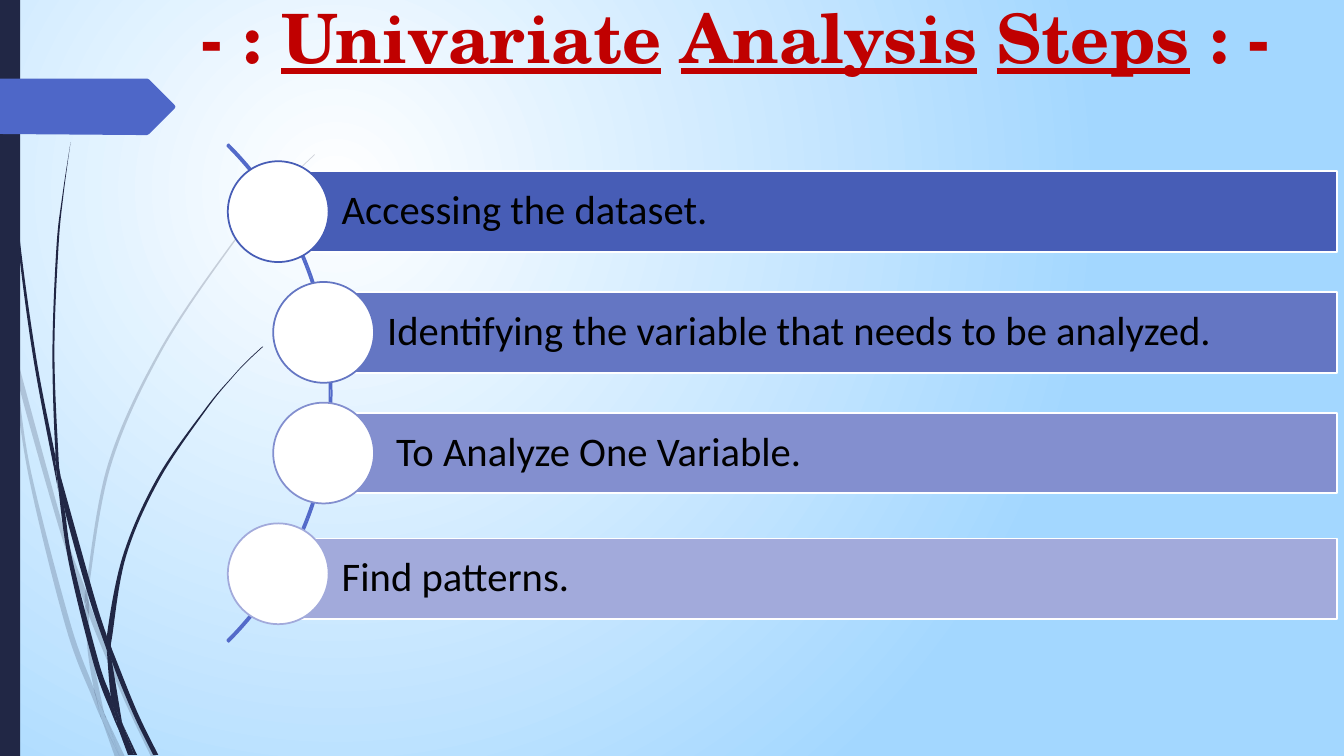
import math
import pptx
import pptx.util
import pptx.dml.color
import pptx.enum.shapes
import pptx.enum.text
import pptx.oxml
import pptx.oxml.ns

Inches, Pt = pptx.util.Inches, pptx.util.Pt
RGB = pptx.dml.color.RGBColor
Shape = pptx.enum.shapes.MSO_SHAPE
SPACE = pptx.oxml.ns.nsdecls("a")

WHITE = RGB(0xFF, 0xFF, 0xFF)
BLACK = RGB(0, 0, 0)
SKY = RGB(0xA3, 0xD7, 0xFF)
NAVY = RGB(0x21, 0x27, 0x45)
BLUE = RGB(0x4E, 0x67, 0xC8)
ARC = RGB(0x53, 0x6A, 0xC9)
RED = RGB(0xC0, 0, 0)

# Outline points of the grass blades, x and y in hundredths of an inch
PALE = [
    "11 350 9 322 0 282 0 299 10 344",
    "58 522 84 599 85 586 62 520 14 345 17 376",
    "92 607 88 596 88 610 123 694 150 751 155 751 127 692",
    "119 751 124 751 105 711",
    "93 683 70 619 31 469 17 376 11 350 28 470 65 621 92 693 101 714 99 707",
    "84 599 87 646 93 683 96 692 105 711 103 706 91 646 88 610 88 608",
    "88 584 110 462 160 349 229 245 268 198 290 175 312 154 312 153 289 175 "
    "268 197 228 244 158 348 107 461 85 584 85 586 88 596",
    "101 714 114 751 119 751",
    "88 608 88 610 88 596 85 586 84 599",
    "96 692 93 683 99 707 101 714 119 751 105 711",
]
DARK = [
    "7 110 17 233 33 355 56 477 57 481 55 457 55 453 36 355 19 232 8 109 "
    "5 48 4 0 3 0 4 48",
    "88 592 106 645 106 633 106 631 93 590 60 472 64 505",
    "113 649 110 641 111 656 132 708 152 749 157 749 136 706",
    "110 691 98 657 72 556 64 505 57 477 68 557 93 659 111 708 117 722 116 717",
    "60 472 58 453 54 349 58 245 63 193 70 141 62 193 56 245 52 349 55 449",
    "133 749 136 749 122 719",
    "57 477 64 505 60 472 55 449 55 453",
    "111 633 125 552 158 476 205 406 231 374 245 359 261 344 260 344 245 358 "
    "231 373 204 405 156 474 122 551 106 631 110 641",
    "117 722 127 749 131 749",
    "106 645 110 691 116 706 122 719 121 716 111 656 109 651",
    "106 645 109 651 111 656 110 641 106 631 106 633",
    "116 706 110 691 116 717 117 722 130 749 133 749 122 719",
]

# Wording, colour, left of the disc, drop of the bar, text inset
STEPS = [
    ("Accessing the dataset.", RGB(0x47, 0x5D, 0xB6), 2.26, 0, 0.63),
    ("Identifying the variable that needs to be analyzed.",
     RGB(0x64, 0x76, 0xC3), 2.71, 0, 0.63),
    ("To Analyze One Variable.", RGB(0x83, 0x8F, 0xCF), 2.71, 0, 0.72),
    ("Find patterns.", RGB(0xA2, 0xAA, 0xDB), 2.26, 0.05, 0.63),
]


def paint(shape, fill=None, line=None):
    shape.shadow.inherit = False
    if fill is None:
        shape.fill.background()
    else:
        shape.fill.solid()
        shape.fill.fore_color.rgb = fill
    if line is None:
        shape.line.fill.background()
    else:
        shape.line.color.rgb = line
        shape.line.width = Pt(1.25)
    return shape


def add(slide, kind, box, fill=None, line=None):
    shape = slide.shapes.add_shape(kind, *map(Inches, box))
    return paint(shape, fill, line)


def outline(slide, box, points, fill):
    left, top = box[:2]
    spots = [(Inches(left + x), Inches(top + y)) for x, y in points]
    pen = slide.shapes.build_freeform(*spots[0], scale=1.0)
    pen.add_line_segments(spots[1:] + spots[:1], close=True)
    return paint(pen.convert_to_shape(), fill)


def sharp(a, b, c):
    """Tell whether the outline a-b-c has a corner at b."""
    u, v = (b[0] - a[0], b[1] - a[1]), (c[0] - b[0], c[1] - b[1])
    return u[0] * v[0] + u[1] * v[1] < 0.8 * math.hypot(*u) * math.hypot(*v)


def bend(shape):
    """Turn the straight sides of an outline into curves between corners."""
    sides = shape.element.xpath(".//a:lnTo")
    ends = [(int(pt.get("x")), int(pt.get("y")))
            for pt in shape.element.xpath(".//a:lnTo/a:pt")]
    for i, side in enumerate(sides):
        a, b, c, d = (ends[(i + k) % len(ends)] for k in (-2, -1, 0, 1))
        before = b if sharp(a, b, c) else a
        after = c if sharp(b, c, d) else d
        out = [q + (r - p) / 6 for p, q, r in zip(before, b, c)]
        back = [r - (s - q) / 6 for q, r, s in zip(b, c, after)]
        marks = "".join(f'<a:pt x="{round(x)}" y="{round(y)}"/>'
                        for x, y in (out, back, c))
        curve = pptx.oxml.parse_xml(
            f"<a:cubicBezTo {SPACE}>{marks}</a:cubicBezTo>")
        side.getparent().replace(side, curve)


def grass(slide, box, blades, alpha=100):
    for blade in blades:
        marks = [int(n) / 100 for n in blade.split()]
        shape = outline(slide, box, list(zip(marks[::2], marks[1::2])), NAVY)
        bend(shape)
        if alpha < 100:
            color = shape.element.xpath("./p:spPr/a:solidFill/a:srgbClr")[0]
            color.append(pptx.oxml.parse_xml(
                f'<a:alpha {SPACE} val="{alpha * 1000}"/>'))


def backdrop(slide):
    fill = slide.background.fill
    fill.gradient()
    for stop, color in zip(fill.gradient_stops, (WHITE, SKY)):
        stop.color.rgb = color
    line = slide.element.xpath(".//p:bg//a:lin")[0]
    glow = pptx.oxml.parse_xml(
        f'<a:path {SPACE} path="circle"><a:fillToRect '
        'l="50000" t="50000" r="100000" b="100000"/></a:path>')
    line.getparent().replace(line, glow)


def edge(slide, box):
    left, top, width, height = box
    grass(slide, box, PALE, 20)
    grass(slide, box, DARK)
    add(slide, Shape.RECTANGLE, (left, top, 0.2, height), NAVY)
    tag = [(0, 0.78), (1.46, 0.78), (1.48, 0.79), (1.73, 1.04), (1.74, 1.06),
           (1.73, 1.08), (1.48, 1.33), (1.46, 1.34), (1.36, 1.34), (0, 1.33)]
    outline(slide, box, tag, BLUE)


def title(slide, box):
    frame = slide.shapes.add_textbox(*map(Inches, box)).text_frame
    frame.word_wrap = True
    frame.margin_left = Inches(2.42)
    line = frame.paragraphs[0]
    line.line_spacing = 0.9
    for i, words in enumerate(
            ["- : ", "Univariate", " ", "Analysis", " ", "Steps", " : -"]):
        run = line.add_run()
        run.text = words
        run.font.name = "TeX Gyre Schola"
        run.font.size = Pt(48.6)
        run.font.bold = True
        run.font.underline = i % 2 == 1
        run.font.color.rgb = RED


def step(slide, box, words, color, drop, inset):
    """Draw a bar that starts at the middle of a disc."""
    left, top, width, size = box
    bar = add(slide, Shape.RECTANGLE,
              (left + size / 2, top + 0.1 + drop, width - size / 2, 0.8),
              color, WHITE)
    frame = bar.text_frame
    frame.word_wrap = True
    frame.vertical_anchor = pptx.enum.text.MSO_ANCHOR.MIDDLE
    frame.margin_left = Inches(inset)
    frame.margin_top = frame.margin_right = frame.margin_bottom = Inches(0.08)
    frame.text = words
    line = frame.paragraphs[0]
    line.alignment = pptx.enum.text.PP_ALIGN.LEFT
    line.line_spacing = 0.9
    font = line.runs[0].font
    font.name, font.size, font.color.rgb = "Calibri", Pt(29), BLACK
    add(slide, Shape.OVAL, (left, top, size, size), WHITE, color)


def steps(slide, box):
    left, top, width, height = box
    arc = add(slide, Shape.BLOCK_ARC, (left - 5.95, top - 1.19, 6.98, 6.98),
              line=ARC)
    for i, value in enumerate((189, 27, 0.003)):
        arc.adjustments[i] = value
    for i, (words, color, start, drop, inset) in enumerate(STEPS):
        place = (start, top + i * height / 4, left + width - start, 1)
        step(slide, place, words, color, drop, inset)


def main():
    deck = pptx.Presentation()
    deck.slide_width, deck.slide_height = Inches(13.33), Inches(7.5)
    slide = deck.slides.add_slide(deck.slide_layouts[6])
    backdrop(slide)
    edge(slide, (0, 0, 1.74, 7.5))
    title(slide, (-0.43, 0, 13.33, 0.92))
    steps(slide, (2.26, 1.6, 11, 4.79))
    deck.save("out.pptx")


if __name__ == "__main__":
    main()
